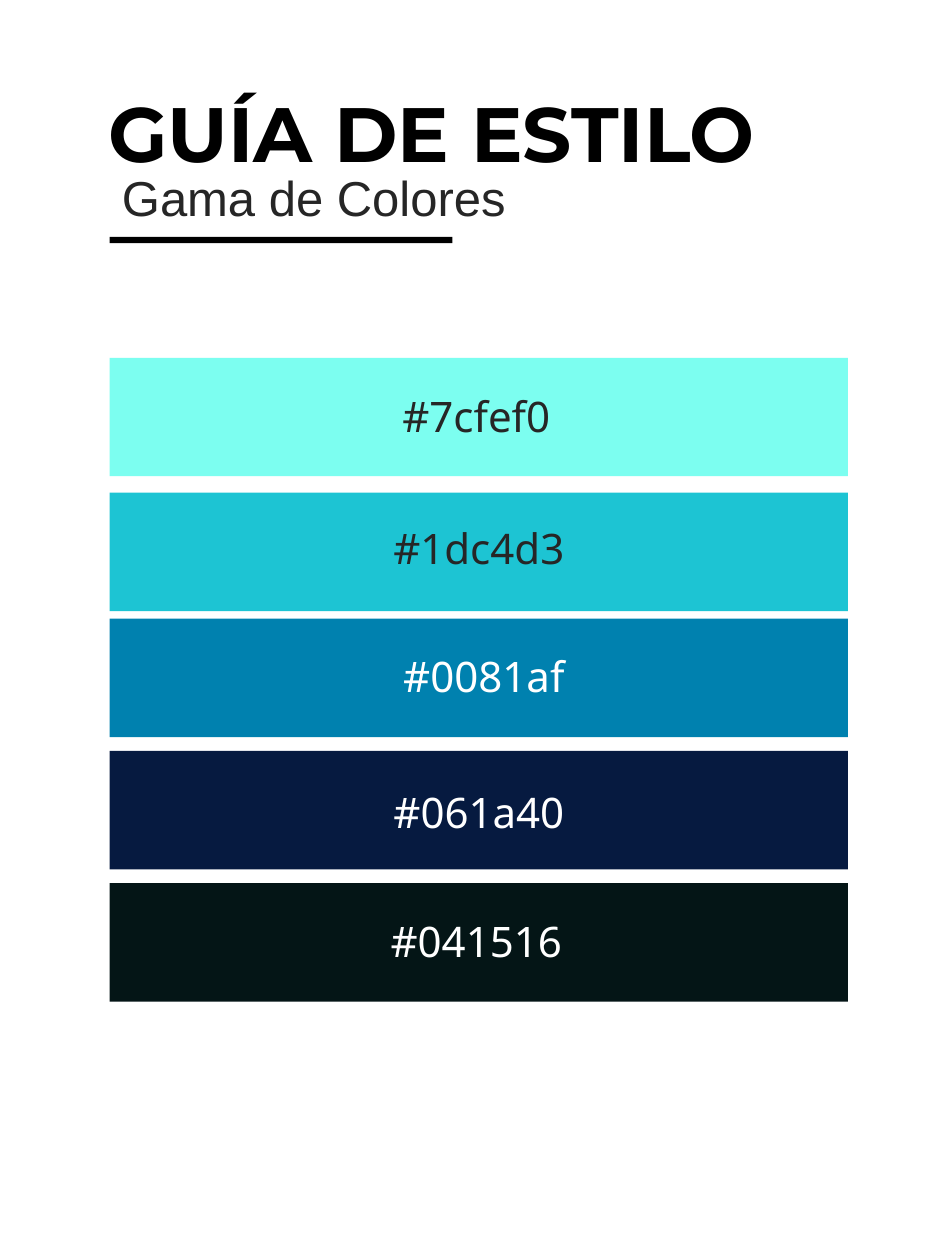
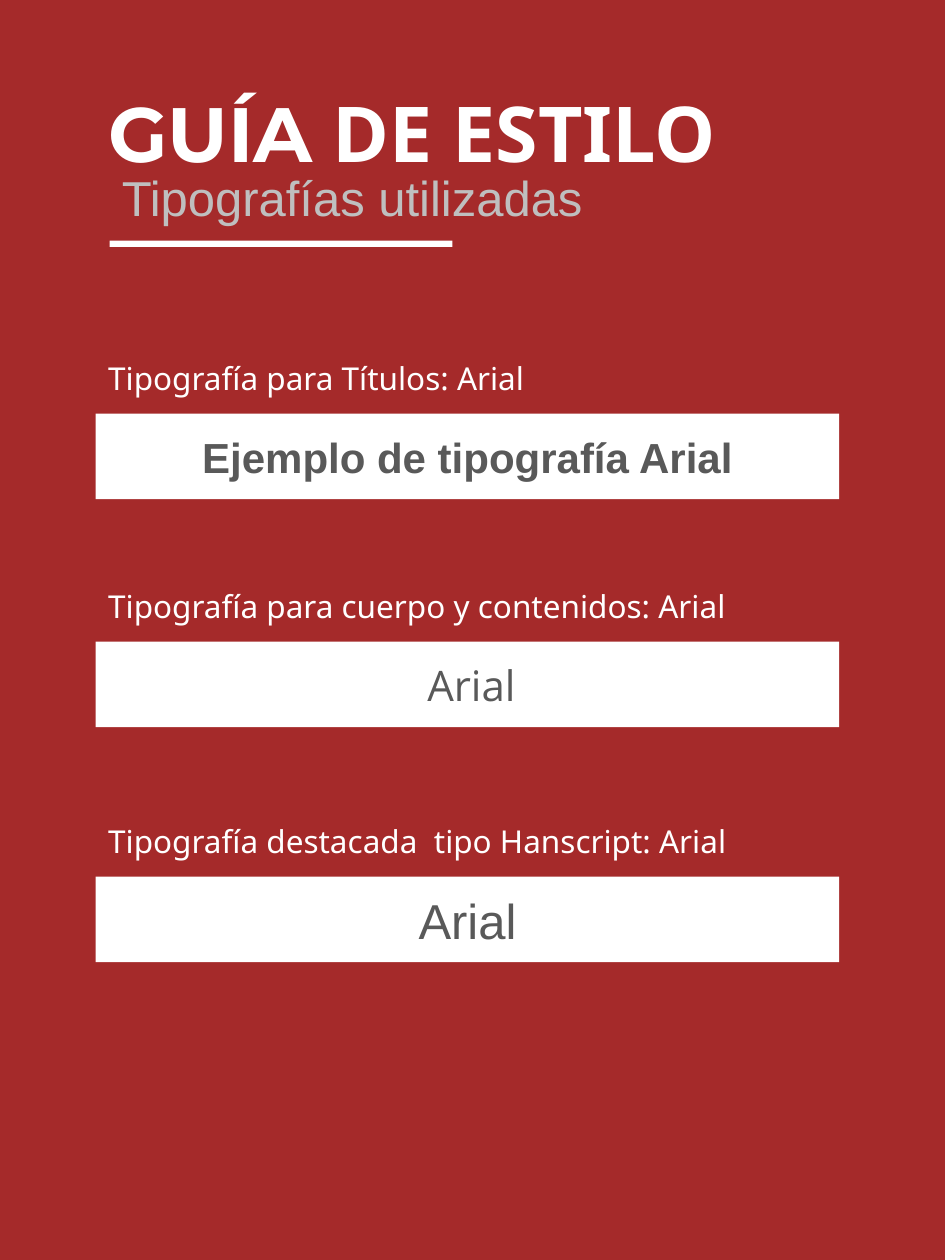
from pptx import Presentation
from pptx.dml.color import RGBColor
from pptx.enum.shapes import MSO_SHAPE
from pptx.enum.text import MSO_ANCHOR, MSO_AUTO_SIZE, PP_ALIGN
from pptx.util import Inches, Pt

RECTANGLE = MSO_SHAPE.RECTANGLE
MIDDLE = MSO_ANCHOR.MIDDLE
GROW = MSO_AUTO_SIZE.SHAPE_TO_FIT_TEXT
LEFT, CENTER = PP_ALIGN.LEFT, PP_ALIGN.CENTER

COLORS = {
    "white": "FFFFFF",
    "black": "000000",
    "charcoal": "262626",
    "gray": "595959",
    "silver": "BFBFBF",
    "brick": "A52A2A",
}

PALETTE_HEADER = {
    "title": [("GUÍA DE ESTILO", "Montserrat")],
    "subtitle": "Gama de Colores",
    "subtitle_box": (11.6, 65.47, LEFT),
    "title_color": "black",
    "subtitle_color": "charcoal",
    "rule_top": 18.8,
}
FONTS_HEADER = {
    "title": [("GUÍA", "Montserrat"), (" DE ESTILO", "Noto Sans")],
    "subtitle": "Tipografías utilizadas",
    "subtitle_box": (10.13, 54.27, CENTER),
    "title_color": "white",
    "subtitle_color": "silver",
    "rule_top": 19.1,
}

# code, swatch top, label left, label top, label color
SWATCHES = [
    ("#7cfef0", 28.4, 30.4, 30.5, "charcoal"),
    ("#1dc4d3", 39.1, 30.67, 41.0, "charcoal"),
    ("#0081af", 49.1, 31.2, 51.1, "white"),
    ("#061a40", 59.6, 30.67, 61.9, "white"),
    ("#041516", 70.1, 30.4, 72.2, "white"),
]

SAMPLES = [
    ("Tipografía para Títulos: Arial", 28.0,
     [("Ejemplo de tipografía Arial", "Arial", 24, True)]),
    ("Tipografía para cuerpo y contenidos: Arial", 46.1,
     [(" ", "Calibri", 20, False), ("Arial", "Open Sans", 24, False)]),
    ("Tipografía destacada  tipo Hanscript: Arial", 64.75,
     [("Arial", "Arial", 28, False)]),
]

MARGIN, RULE_LEFT = 10.13, 11.6
SAMPLE_WIDTH, SAMPLE_DROP = 78.67, 4.82

deck = Presentation()
deck.slide_width, deck.slide_height = Inches(7.5), Inches(10)


def place(left, top, width, height):
    across, down = deck.slide_width / 100, deck.slide_height / 100
    return (round(left * across), round(top * down),
            round(width * across), round(height * down))


def rgb(color):
    return RGBColor.from_string(COLORS.get(color, color))


def write(frame, runs, color, align):
    frame.word_wrap = True
    paragraph = frame.paragraphs[0]
    paragraph.alignment = align
    for words, font, size, bold in runs:
        run = paragraph.add_run()
        run.text = words
        run.font.name = font
        run.font.size = Pt(size)
        run.font.bold = bold
        run.font.color.rgb = rgb(color)


def add_text(slide, area, runs, color, align=LEFT):
    frame = slide.shapes.add_textbox(*place(*area)).text_frame
    write(frame, runs, color, align)
    frame.auto_size = GROW


def add_bar(slide, area, color):
    bar = slide.shapes.add_shape(RECTANGLE, *place(*area))
    bar.shadow.inherit = False
    bar.fill.solid()
    bar.fill.fore_color.rgb = rgb(color)
    bar.line.fill.background()
    return bar


def add_page(background, header):
    slide = deck.slides.add_slide(deck.slide_layouts[6])
    slide.background.fill.solid()
    slide.background.fill.fore_color.rgb = rgb(background)
    title = [(words, font, 44, True) for words, font in header["title"]]
    add_text(slide, (MARGIN, 6.3, 81.07, 8.4), title, header["title_color"])
    left, width, align = header["subtitle_box"]
    add_text(slide, (left, 12.8, width, 5.7),
             [(header["subtitle"], "Arial", 28, False)],
             header["subtitle_color"], align)
    add_bar(slide, (RULE_LEFT, header["rule_top"], 36.27, 0.5),
            header["title_color"])
    return slide


palette = add_page("white", PALETTE_HEADER)
for code, top, label_left, label_top, label_color in SWATCHES:
    add_bar(palette, (RULE_LEFT, top, 78.13, 9.4), code[1:].upper())
    add_text(palette, (label_left, label_top, 40, 5),
             [(code, "Noto Sans", 24, False)], label_color, CENTER)

fonts = add_page("brick", FONTS_HEADER)
for caption, top, specimen in SAMPLES:
    add_text(fonts, (MARGIN, top, SAMPLE_WIDTH, 4),
             [(caption, "Noto Sans", 18, False)], "white")
    panel = add_bar(fonts, (MARGIN, top + SAMPLE_DROP, SAMPLE_WIDTH, 6.8), "white")
    panel.text_frame.vertical_anchor = MIDDLE
    write(panel.text_frame, specimen, "gray", CENTER)

deck.save("out.pptx")
